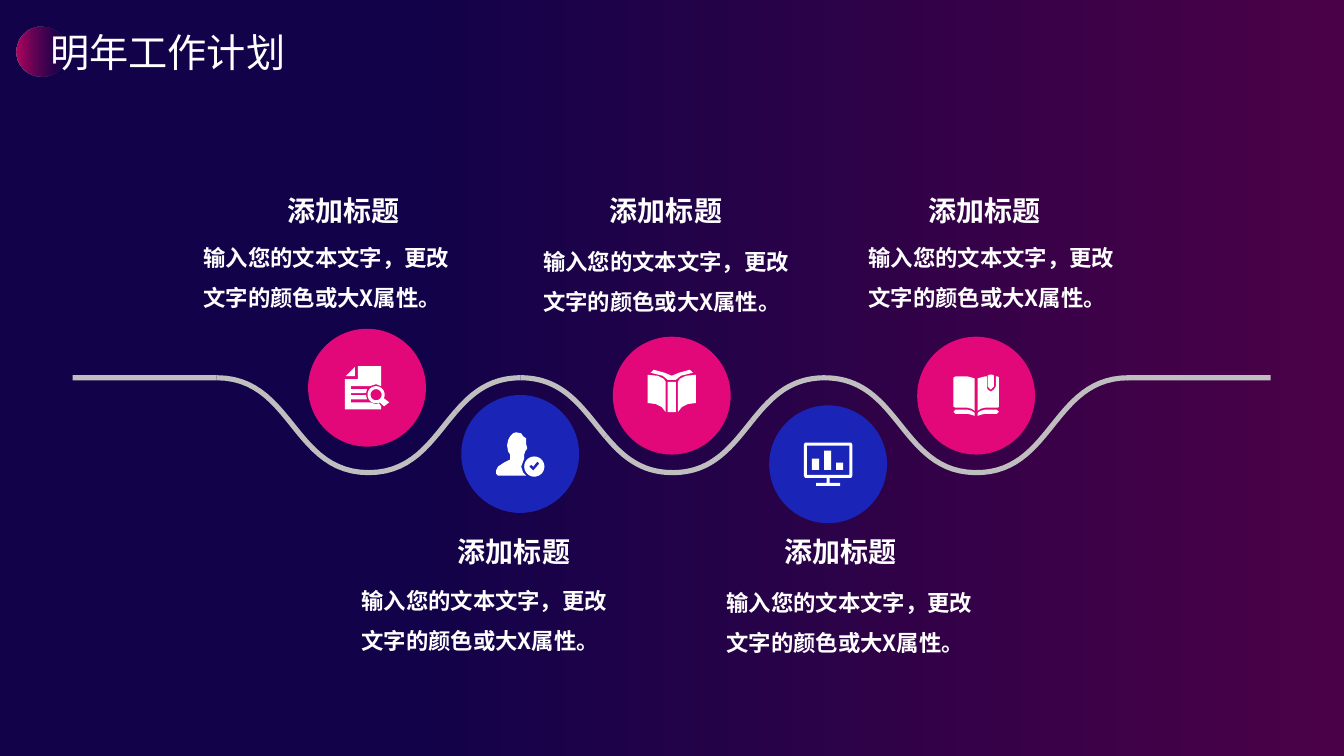
from dataclasses import dataclass
from math import cos, hypot, radians, sin

from lxml.etree import SubElement
from pptx import Presentation
from pptx.dml.color import RGBColor
from pptx.enum.shapes import MSO_SHAPE
from pptx.enum.text import MSO_AUTO_SIZE, PP_ALIGN
from pptx.oxml.ns import qn
from pptx.util import Cm, Pt


@dataclass(frozen=True)
class Theme:
    font: str = "Noto Sans CJK SC"
    night: str = "120249"
    plum: str = "4B0147"
    title_left: str = "B30660"
    title_right: str = "570152"
    pink: str = "E2087A"
    blue: str = "1A25B8"
    road: str = "BFBFBF"
    white: str = "FFFFFF"
    title_size: int = 28
    heading_size: int = 20
    body_size: int = 16


THEME = Theme()
HEADING = "添加标题"
BODY = "输入您的文本文字，更改文字的颜色或大X属性。"
ROAD_WIDTH = 0.13
DISC = 2.97
ICON_UNIT = 0.0254  # centimetres per icon grid step


# Icon outlines, drawn on a small grid

def box(left, top, right, bottom):
    return [(left, top), (right, top), (right, bottom), (left, bottom)]


def arc(x, y, radius, start=0, end=360):
    angles = [radians(start + (end - start) * i / 32) for i in range(33)]
    return [(x + radius * cos(a), y + radius * sin(a)) for a in angles]


def mirror(points, width):
    return [(width - x, y) for x, y in points]


LEFT_LEAF = [(0, 5), (10, 6), (16, 9), (18, 12), (18, 42), (14, 37), (8, 34), (0, 33)]
LEFT_COVER = [(2, 35), (14, 35), (18, 36), (21, 38), (21, 41), (18, 40), (14, 39),
              (2, 39), (0, 37)]

# Each icon: grid width, grid height, contours
REPORT = (44, 43, [
    [(10, 1), (10, 10), (1, 10)],
    [(13, 0), (36, 0), (36, 20), (31, 18), (25, 20), (6, 20), (6, 23), (22, 23),
     (21, 27), (6, 27), (6, 29), (21, 29), (22, 33), (6, 33), (6, 36), (25, 36),
     (31, 38), (34, 37), (36, 40), (36, 43), (0, 43), (0, 13), (13, 13)],
    arc(31, 28.5, 8.5, 65, 385) + [(44, 36), (39, 40)],
    arc(31, 28.5, 5.5),
])
PERSON = (48, 43, [
    arc(38, 34, 10),
    [(41, 29), (37, 34), (35, 32), (33, 34), (37, 38), (43, 31)],
    [(20, 0), (25, 1), (27, 4), (30, 6), (30, 12), (31, 16), (29, 19), (28, 22),
     (28, 26), (25, 34), (27, 40), (30, 43), (2, 43), (0, 41), (0, 38), (2, 34),
     (8, 30), (14, 27), (14, 22), (12, 19), (11, 13), (12, 8), (14, 4), (17, 1)],
])
OPEN_BOOK = (48, 42, [
    box(20, 12, 28, 42), LEFT_LEAF, mirror(LEFT_LEAF, 48),
    [(6, 0), (17, 3), (24, 6), (31, 3), (42, 0), (45, 3), (33, 6), (28, 10),
     (20, 10), (15, 6), (3, 3)],
])
SCREEN = (48, 43, [
    [(1, 0), (47, 0), (48, 2), (48, 33), (47, 35), (25.5, 35), (25.5, 40), (36, 40),
     (36, 43), (12, 43), (12, 40), (22.5, 40), (22.5, 35), (1, 35), (0, 33), (0, 2)],
    box(3, 3, 45, 32),
    box(8, 16, 15, 27), box(20, 8, 27, 27), box(32, 20, 39, 27),
])
BOOKMARK = (45, 42, [
    [(2, 2), (14, 2), (18, 3), (21, 4), (21, 36), (18, 34), (14, 33), (2, 33),
     (0, 32), (0, 3)],
    [(31, 2), (33, 2), (33, 12), (34, 15), (37, 17), (40, 15), (42, 12), (42, 2),
     (44, 2), (45, 3), (45, 32), (44, 33), (31, 33), (27, 34), (24, 36), (24, 4),
     (27, 3)],
    LEFT_COVER, mirror(LEFT_COVER, 45),
    [(36, 0), (38, 0), (40, 1), (40, 12), (37, 15), (34, 12), (34, 1)],
])

# Icon, disc centre, icon lift, colour, heading corner, body corner
STEPS = [
    (REPORT, (9.25, 9.77), 0, THEME.pink, (6.99, 4.75), (4.88, 5.69)),
    (PERSON, (13.11, 11.44), 0, THEME.blue, (11.28, 13.34), (8.86, 14.33)),
    (OPEN_BOOK, (16.93, 9.97), 0.12, THEME.pink, (15.11, 4.75), (13.44, 5.79)),
    (SCREEN, (20.87, 11.7), 0, THEME.blue, (19.51, 13.34), (18.06, 14.38)),
    (BOOKMARK, (24.6, 9.97), 0, THEME.pink, (23.14, 4.75), (21.64, 5.69)),
]


def paint(shape, color):
    shape.shadow.inherit = False
    shape.fill.solid()
    shape.fill.fore_color.rgb = RGBColor.from_string(color)
    shape.line.fill.background()


def blend(fill, *stops):
    fill.gradient()
    fill.gradient_angle = 0
    for stop, (position, color) in zip(fill.gradient_stops, stops):
        stop.position = position
        stop.color.rgb = RGBColor.from_string(color)


def add_preset(slide, kind, left, top, width, height, color):
    shape = slide.shapes.add_shape(kind, Cm(left), Cm(top), Cm(width), Cm(height))
    paint(shape, color)
    return shape


def add_outline(slide, contours, color):
    contours = [[(Cm(x), Cm(y)) for x, y in contour] for contour in contours]
    builder = slide.shapes.build_freeform(*contours[0][0], scale=1.0)
    for number, contour in enumerate(contours):
        if number:
            builder.move_to(*contour[0])
        builder.add_line_segments(contour[1:], close=True)
    paint(builder.convert_to_shape(), color)


def add_text(slide, text, left, top, width, height, size, bold=False, wrap=True):
    shape = slide.shapes.add_textbox(Cm(left), Cm(top), Cm(width), Cm(height))
    frame = shape.text_frame
    frame.text = text
    frame.word_wrap = wrap
    frame.auto_size = MSO_AUTO_SIZE.SHAPE_TO_FIT_TEXT
    paragraph = frame.paragraphs[0]
    run = paragraph.runs[0]
    run.font.size, run.font.bold, run.font.name = Pt(size), bold, THEME.font
    run.font.color.rgb = RGBColor.from_string(THEME.white)
    SubElement(run._r.get_or_add_rPr(), qn("a:ea"), typeface=THEME.font)
    return paragraph


def add_title(slide, left, top):
    dot = add_preset(slide, MSO_SHAPE.OVAL, left, top, 1.27, 1.27, THEME.title_left)
    blend(dot.fill, (0, THEME.title_left), (1, THEME.title_right))
    last_color = dot._element.spPr.findall(".//" + qn("a:srgbClr"))[-1]
    SubElement(last_color, qn("a:alpha"), val="0")
    add_text(slide, "明年工作计划", left + 0.61, top - 0.08, 6.68, 1.45, THEME.title_size)


def add_road(slide, left, top, step, depth):
    """A road of six half waves with a straight run at both ends."""
    def edges(position):
        half = min(int(position), 5)
        t = position - half
        down = 1 if half % 2 == 0 else -1
        drop = 3 * t * t - 2 * t ** 3
        x = left + step * (half + 1.5 * t * (1 - t) + t ** 3)
        y = top + depth * (drop if down == 1 else 1 - drop)
        run = step * (1.5 - 3 * t + 3 * t * t)
        rise = down * depth * 6 * t * (1 - t)
        scale = ROAD_WIDTH / 2 / hypot(run, rise)
        return ((x - rise * scale, y + run * scale), (x + rise * scale, y - run * scale))

    joints = [0, 1.6, 2, 2.58, 3.53, 4.56, 6]
    for start, end in zip(joints, joints[1:]):
        pairs = [edges(start + (end - start) * i / 40) for i in range(41)]
        lower, upper = zip(*pairs)
        add_outline(slide, [[*lower, *reversed(upper)]], THEME.road)
    run_length = 3.63
    for run_left in (left - run_length, left + 6 * step - 0.05):
        add_preset(slide, MSO_SHAPE.RECTANGLE, run_left, top - ROAD_WIDTH / 2,
                   run_length, ROAD_WIDTH, THEME.road)


def add_step(slide, icon, center, lift, color, heading_corner, body_corner):
    # Disc with its icon in the middle
    x, y = center
    add_preset(slide, MSO_SHAPE.OVAL, x - DISC / 2, y - DISC / 2, DISC, DISC, color)
    columns, rows, contours = icon
    left, top = x - columns * ICON_UNIT / 2, y - lift - rows * ICON_UNIT / 2
    add_outline(slide, [[(left + a * ICON_UNIT, top + b * ICON_UNIT) for a, b in contour]
                        for contour in contours], THEME.white)
    # Heading and body
    heading = add_text(slide, HEADING, *heading_corner, 3.35, 1.12,
                       THEME.heading_size, bold=True, wrap=False)
    heading.alignment = PP_ALIGN.CENTER
    body = add_text(slide, BODY, *body_corner, 7.11, 2.18, THEME.body_size, bold=True)
    body.line_spacing = 1.5


def main():
    presentation = Presentation()
    presentation.slide_width, presentation.slide_height = Cm(33.87), Cm(19.05)
    slide = presentation.slides.add_slide(presentation.slide_layouts[6])
    blend(slide.background.fill, (0.3, THEME.night), (1, THEME.plum))
    add_title(slide, 0.41, 0.66)
    add_road(slide, 5.46, 9.52, 3.83, 2.39)
    for step in STEPS:
        add_step(slide, *step)
    presentation.save("out.pptx")


if __name__ == "__main__":
    main()
